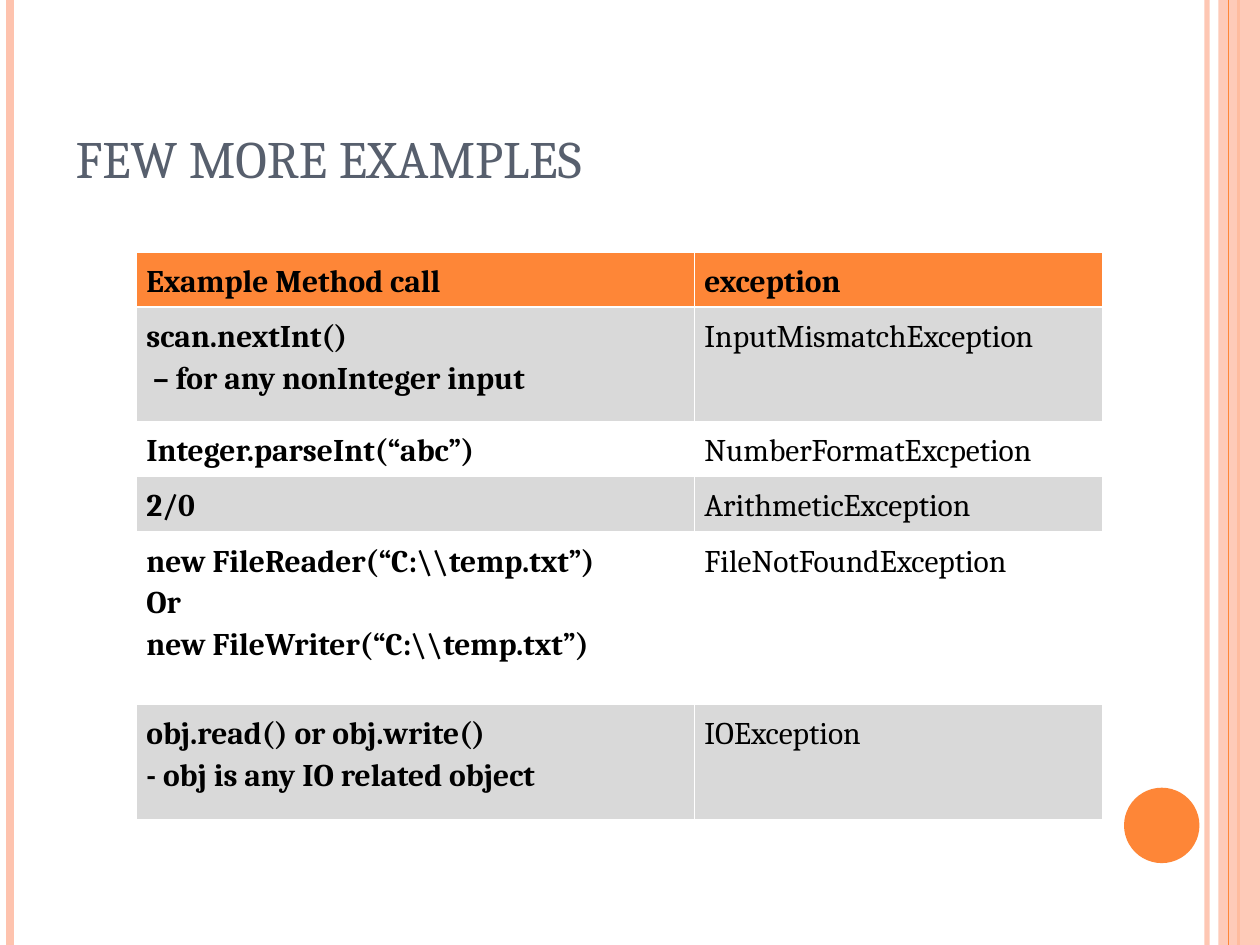
"""Build the slide that lists example method calls and their exceptions."""
from dataclasses import dataclass
from typing import Optional

from lxml.etree import SubElement
from pptx import Presentation
from pptx.dml.color import RGBColor
from pptx.enum.shapes import MSO_CONNECTOR, MSO_SHAPE
from pptx.enum.text import MSO_ANCHOR, MSO_AUTO_SIZE, PP_ALIGN
from pptx.oxml.ns import qn
from pptx.util import Cm, Pt

FONT = "Cambria"
ORANGE, PEACH, SLATE = "FE8637", "FEC3AE", "575F6D"
GREY, WHITE, BLACK = "D9D9D9", "FFFFFF", "000000"
PAGE_WIDTH, PAGE_HEIGHT = 25.4, 19.05
COLUMN_WIDTHS = (11.25, 8.23)


@dataclass
class Stripe:
    x: float
    weight: float
    color: str
    opacity: Optional[int] = None


@dataclass
class Example:
    call: str
    exception: str
    height: float


STRIPES = (
    Stripe(24.33, 3, PEACH, 93),
    Stripe(0.2, 4.5, PEACH),
    Stripe(24.97, 1.5, ORANGE),
)
INNER_STRIPE = Stripe(24.77, 0.75, ORANGE)

EXAMPLES = (
    Example("Example Method call", "exception", 1.11),
    Example("scan.nextInt()\n – for any nonInteger input", "InputMismatchException", 2.31),
    Example("Integer.parseInt(“abc”)", "NumberFormatExcpetion", 1.11),
    Example("2/0", "ArithmeticException", 1.11),
    Example("new FileReader(“C:\\\\temp.txt”)\nOr\nnew FileWriter(“C:\\\\temp.txt”)",
            "FileNotFoundException", 3.48),
    Example("obj.read() or obj.write()\n- obj is any IO related object", "IOException", 2.31),
)


def rgb(value: str) -> RGBColor:
    return RGBColor.from_string(value)


def set_opacity(element, percent: int) -> None:
    color = next(element.iter(qn("a:srgbClr")))
    SubElement(color, qn("a:alpha"), val=str(percent * 1000))


def write(frame, text: str, *, size: float, color: str, bold: bool = False,
          line_spacing: Optional[float] = None, space_after: float = 0) -> None:
    para = frame.paragraphs[0]
    para.alignment = PP_ALIGN.LEFT
    para.space_after = Pt(space_after)
    if line_spacing:
        para.line_spacing = line_spacing
    for index, line in enumerate(text.split("\n")):
        if index:
            para.add_line_break()
        span = para.add_run()
        span.text = line
        span.font.name = FONT
        span.font.size = Pt(size)
        span.font.bold = bold
        span.font.color.rgb = rgb(color)


def add_stripe(page, stripe: Stripe) -> None:
    line = page.shapes.add_connector(
        MSO_CONNECTOR.STRAIGHT, Cm(stripe.x), Cm(0), Cm(stripe.x), Cm(PAGE_HEIGHT))
    line.line.color.rgb = rgb(stripe.color)
    line.line.width = Pt(stripe.weight)
    properties = line._element.spPr
    SubElement(properties, qn("a:effectLst"))
    if stripe.opacity:
        set_opacity(properties, stripe.opacity)


def add_block(page, kind: MSO_SHAPE, left: float, top: float, width: float,
              height: float, color: str, opacity: Optional[int] = None) -> None:
    block = page.shapes.add_shape(kind, Cm(left), Cm(top), Cm(width), Cm(height))
    block.shadow.inherit = False
    block.fill.solid()
    block.fill.fore_color.rgb = rgb(color)
    block.line.fill.background()
    if opacity:
        set_opacity(block._element.spPr, opacity)


def add_borders(cell, weights: dict[str, float]) -> None:
    properties = cell._tc.get_or_add_tcPr()
    for side, weight in weights.items():
        border = SubElement(properties, qn(f"a:ln{side}"), w=str(Pt(weight)))
        fill = SubElement(border, qn("a:solidFill"))
        SubElement(fill, qn("a:srgbClr"), val=WHITE)


def fill_cell(cell, text: str, row: int, bold: bool) -> None:
    thin, thick = 0.45, 1.47
    add_borders(cell, {"L": thin, "R": thin, "T": thick if row == 1 else thin,
                       "B": thick if row == 0 else thin})
    cell.fill.solid()
    cell.fill.fore_color.rgb = rgb(ORANGE if row == 0 else GREY if row % 2 else WHITE)
    cell.margin_left = cell.margin_right = Cm(0.2)
    cell.margin_top = cell.margin_bottom = Cm(0.13)
    cell.vertical_anchor = MSO_ANCHOR.TOP
    write(cell.text_frame, text, size=18, color=BLACK, bold=bold,
          line_spacing=1.15, space_after=10)


def add_examples(page) -> None:
    table = page.shapes.add_table(
        len(EXAMPLES), len(COLUMN_WIDTHS), Cm(2.75), Cm(5.08), Cm(sum(COLUMN_WIDTHS)),
        Cm(sum(example.height for example in EXAMPLES))).table
    table.horz_banding = False
    for column, width in zip(table.columns, COLUMN_WIDTHS):
        column.width = Cm(width)
    for row, example in enumerate(EXAMPLES):
        table.rows[row].height = Cm(example.height)
        fill_cell(table.cell(row, 0), example.call, row, bold=True)
        fill_cell(table.cell(row, 1), example.exception, row, bold=row == 0)


def add_title(page, text: str) -> None:
    title = page.shapes.title
    title.left, title.top, title.width, title.height = Cm(1.27), Cm(0.76), Cm(20.75), Cm(3.18)
    frame = title.text_frame
    frame.auto_size = MSO_AUTO_SIZE.NONE
    frame.word_wrap = True
    frame.vertical_anchor = MSO_ANCHOR.BOTTOM
    write(frame, text, size=30, color=SLATE)


def main() -> None:
    deck = Presentation()
    deck.slide_width, deck.slide_height = Cm(PAGE_WIDTH), Cm(PAGE_HEIGHT)
    page = deck.slides.add_slide(deck.slide_layouts.get_by_name("Title Only"))
    for stripe in STRIPES:
        add_stripe(page, stripe)
    add_block(page, MSO_SHAPE.RECTANGLE, 24.56, 0, 0.84, PAGE_HEIGHT, PEACH, opacity=87)
    add_stripe(page, INNER_STRIPE)
    add_block(page, MSO_SHAPE.OVAL, 22.66, 15.88, 1.52, 1.52, ORANGE)
    add_title(page, "FEW MORE EXAMPLES")
    add_examples(page)
    deck.save("out.pptx")


if __name__ == "__main__":
    main()
